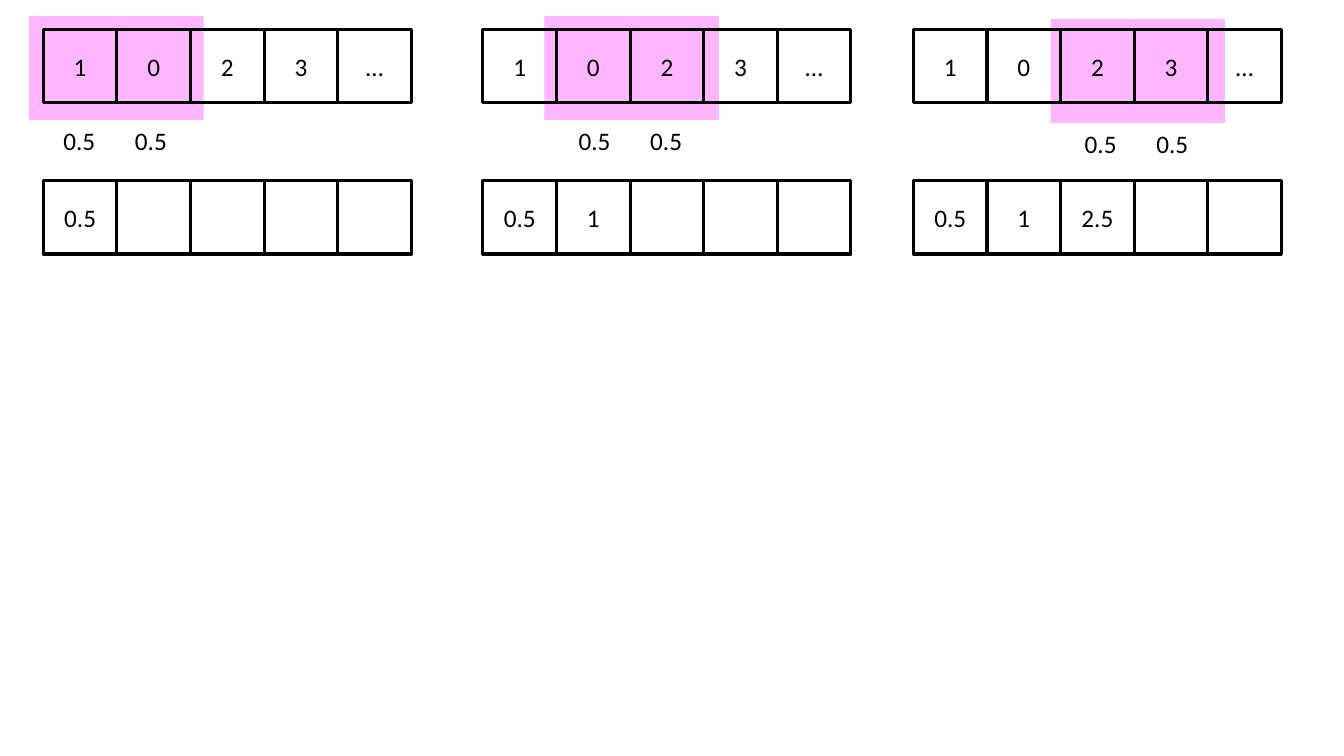
from lxml import etree
from pptx import Presentation
from pptx.dml.color import RGBColor
from pptx.enum import shapes, text
from pptx.oxml import ns
from pptx.util import Inches, Pt

COLORS = {"ink": "000000", "window": "FF40FF"}
FONT = {"name": "Calibri", "size": Pt(18)}
INPUT = ["1", "0", "2", "3", "…"]
WEIGHTS = ["0.5", "0.5"]
# Each step: left edge of its rows, left and top of the window, output so far
STEPS = [
    (0.43, 0.29, 0.16, ["0.5"]),
    (4.79, 5.4, 0.16, ["0.5", "1"]),
    (9.06, 10.42, 0.19, ["0.5", "1", "2.5"]),
]
CELL = 0.73
INPUT_TOP, OUTPUT_TOP = 0.29, 1.79
WINDOW_WIDTH, WINDOW_HEIGHT = 1.73, 1.03
WEIGHT_INDENT, WEIGHT_TAB = 0.24, 0.71
WINDOW_OPACITY = 38


def write(frame, words, alignment):
    paragraph = frame.paragraphs[0]
    paragraph.alignment = alignment
    run = paragraph.add_run()
    run.text = words
    for name, value in FONT.items():
        setattr(run.font, name, value)
    run.font.color.rgb = RGBColor.from_string(COLORS["ink"])
    return paragraph


def add_box(group, left, top, width, height):
    box = group.shapes.add_shape(
        shapes.MSO_SHAPE.RECTANGLE, *map(Inches, (left, top, width, height)))
    box.shadow.inherit = False
    return box


def add_row(group, left, top, values):
    for column in range(len(INPUT)):
        cell = add_box(group, left + column * CELL, top, CELL, CELL)
        cell.fill.background()
        cell.line.color.rgb = RGBColor.from_string(COLORS["ink"])
        cell.line.width = Pt(2.25)
        if column < len(values):
            cell.text_frame.vertical_anchor = text.MSO_ANCHOR.MIDDLE
            write(cell.text_frame, values[column], text.PP_ALIGN.CENTER)


def add_window(group, left, top):
    window = add_box(group, left, top, WINDOW_WIDTH, WINDOW_HEIGHT)
    window.line.fill.background()
    window.fill.solid()
    window.fill.fore_color.rgb = RGBColor.from_string(COLORS["window"])
    color = window.fill._xPr.find(".//" + ns.qn("a:srgbClr"))
    etree.SubElement(color, ns.qn("a:alpha"), val=str(WINDOW_OPACITY * 1000))


def add_weights(group, left, top):
    """Write the filter weights on one line, spaced by a tab stop."""
    label = group.shapes.add_textbox(*map(Inches, (left, top, 1.25, 0.4)))
    frame = label.text_frame
    frame.word_wrap = False
    frame.auto_size = text.MSO_AUTO_SIZE.SHAPE_TO_FIT_TEXT
    paragraph = write(frame, "\t".join(WEIGHTS), text.PP_ALIGN.LEFT)
    tabs = etree.SubElement(paragraph._p.get_or_add_pPr(), ns.qn("a:tabLst"))
    etree.SubElement(tabs, ns.qn("a:tab"), pos=str(Inches(WEIGHT_TAB)), algn="l")


def main():
    presentation = Presentation()
    presentation.slide_width = Inches(13.33)
    presentation.slide_height = Inches(7.5)
    slide = presentation.slides.add_slide(presentation.slide_layouts[6])
    for left, window_left, window_top, output in STEPS:
        group = slide.shapes.add_group_shape()
        add_row(group, left, OUTPUT_TOP, output)
        add_window(group, window_left, window_top)
        add_weights(group, window_left + WEIGHT_INDENT, window_top + WINDOW_HEIGHT)
        add_row(group, left, INPUT_TOP, INPUT)
    presentation.save("out.pptx")


if __name__ == "__main__":
    main()
